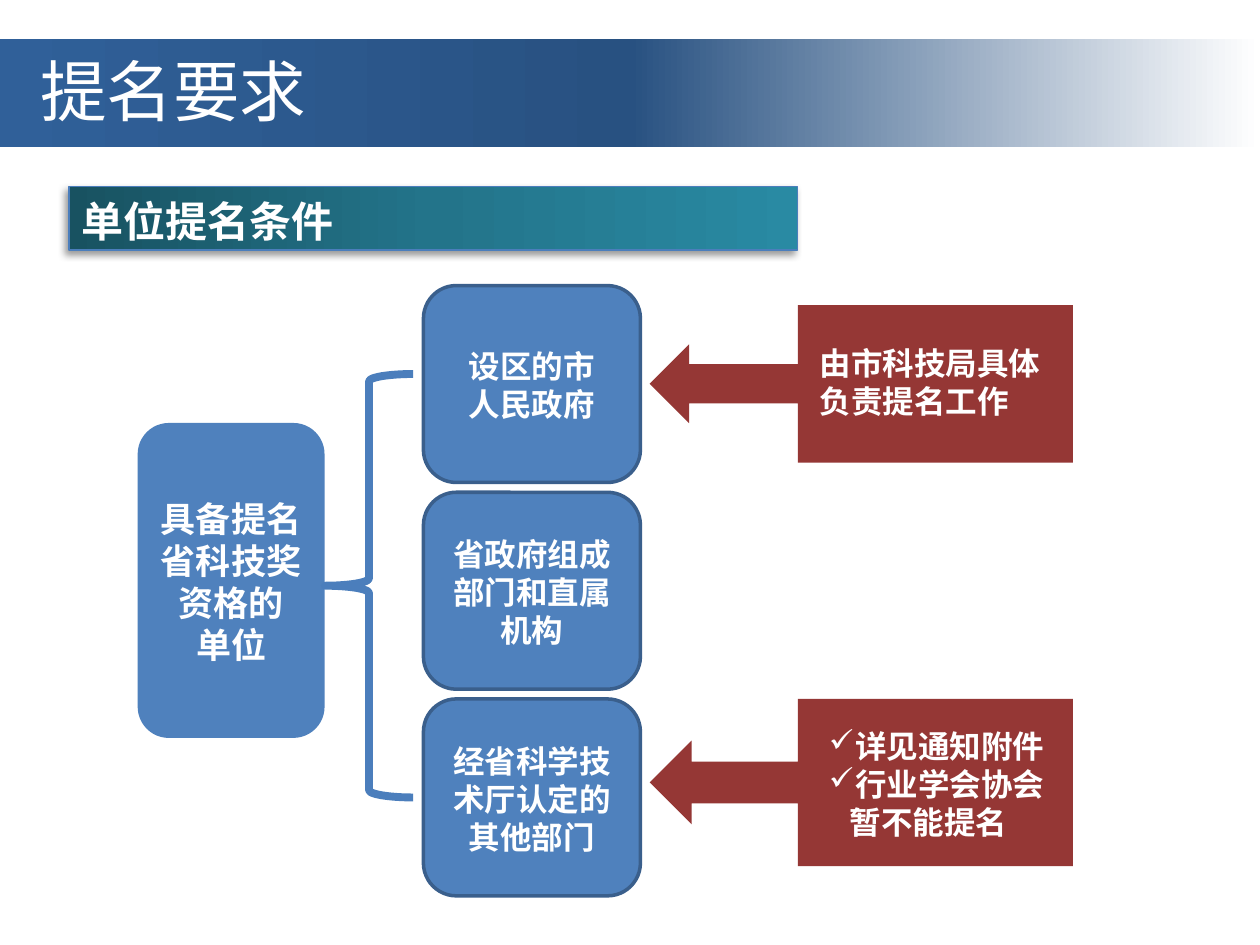
"""Build the slide on which units may nominate for the award."""
from copy import deepcopy

from lxml import etree
from pptx import Presentation
from pptx.dml.color import RGBColor
from pptx.enum import shapes, text
from pptx.oxml import ns
from pptx.util import Pt

FONT = "Noto Sans CJK SC"
COLORS = {
    "white": "FFFFFF",
    "blue": "4F81BD",
    "blue_line": "4B7EBC",
    "blue_edge": "3A5F8C",
    "red": "953735",
    "shadow": "000000",
}
BANNER_STOPS = [(0, "306099"), (0.5, "285181"), (1, "FFFFFF")]
HEADING_STOPS = [(0, "185261"), (0.5, "23748A"), (1, "298AA3")]
UNITS = [
    ["设区的市", "人民政府"],
    ["省政府组成部门和直属机构"],
    ["经省科学技术厅认定的其他部门"],
]
TOP, MIDDLE = text.MSO_ANCHOR.TOP, text.MSO_ANCHOR.MIDDLE
LEFT, CENTER = text.PP_ALIGN.LEFT, text.PP_ALIGN.CENTER


def color(name):
    """Return the named colour."""
    return RGBColor.from_string(COLORS[name])


def apply(target, values):
    """Set each attribute of target from a dict."""
    for name, value in values.items():
        setattr(target, name, value)


def place(part, box):
    """Move a part to a box given in points."""
    apply(part, dict(zip(("left", "top", "width", "height"), map(Pt, box))))


def add_child(parent, tag, **attributes):
    """Append a drawing element to its parent."""
    return etree.SubElement(parent, ns.qn(tag), attributes)


def add_preset(slide, preset, box, fill=None, edge=None, weight=0):
    """Add a preset shape with an optional fill and edge."""
    preset_shape = slide.shapes.add_shape(preset, *map(Pt, box))
    preset_shape.shadow.inherit = False
    if fill:
        preset_shape.fill.solid()
        preset_shape.fill.fore_color.rgb = color(fill)
    else:
        preset_shape.fill.background()
    if edge:
        preset_shape.line.color.rgb = color(edge)
        preset_shape.line.width = Pt(weight)
    else:
        preset_shape.line.fill.background()
    return preset_shape


def fill_gradient(bar, stops):
    """Fill a bar from left to right with three stops."""
    bar.fill.gradient()
    bar.fill.gradient_angle = 0
    stop_list = bar._element.spPr.find(".//" + ns.qn("a:gsLst"))
    stop_list.append(deepcopy(stop_list[0]))
    for stop, (position, rgb) in zip(bar.fill.gradient_stops, stops):
        apply(stop, {"position": position})
        stop.color.rgb = RGBColor.from_string(rgb)


def add_shadow(bar):
    """Cast a soft shadow to the lower left."""
    effects = bar._element.spPr.find(ns.qn("a:effectLst"))
    shadow = add_child(effects, "a:outerShdw", blurRad=str(Pt(4)),
                       dist=str(Pt(3)), dir="8100000", rotWithShape="0")
    shade = add_child(shadow, "a:srgbClr", val=COLORS["shadow"])
    add_child(shade, "a:alpha", val="40000")


def write(part, lines, size, align=LEFT, anchor=TOP, bold=True, inset=7.2, top=5):
    """Write lines, each a string or a (string, margin, bullet) tuple."""
    frame = part.text_frame
    apply(frame, {"word_wrap": True, "auto_size": text.MSO_AUTO_SIZE.NONE,
                  "vertical_anchor": anchor, "margin_left": Pt(inset),
                  "margin_right": Pt(7.2), "margin_top": Pt(top),
                  "margin_bottom": Pt(3.6)})
    for index, line in enumerate(lines):
        words, margin, bullet = line if isinstance(line, tuple) else (line, 0, None)
        paragraph = frame.add_paragraph() if index else frame.paragraphs[0]
        properties = paragraph._p.get_or_add_pPr()
        if margin:
            properties.set("marL", str(Pt(margin)))
        if bullet:
            properties.set("indent", str(-Pt(margin)))
            add_child(properties, "a:buChar", char=bullet)
        apply(paragraph, {"alignment": align, "line_spacing": Pt(1.2 * size)})
        run = paragraph.add_run()
        run.text = words
        apply(run.font, {"size": Pt(size), "bold": bold, "name": FONT})
        run.font.color.rgb = color("white")
        add_child(run._r.get_or_add_rPr(), "a:ea", typeface=FONT)


def add_title(slide):
    """Turn the title placeholder into the banner."""
    banner = slide.shapes.title
    place(banner, (0, 22.3, 720, 62))
    fill_gradient(banner, BANNER_STOPS)
    write(banner, ["提名要求"], 38, bold=False, inset=23, top=6)


def add_heading(slide):
    """Add the section heading bar."""
    heading = add_preset(slide, shapes.MSO_SHAPE.RECTANGLE,
                         (39.4, 106.5, 416.3, 36.3), "blue", "blue_line", 0.75)
    fill_gradient(heading, HEADING_STOPS)
    add_shadow(heading)
    write(heading, ["单位提名条件"], 24)


def add_box(slide, box, lines, size, edge=None):
    """Add a rounded box with centred text."""
    rounded = add_preset(slide, shapes.MSO_SHAPE.ROUNDED_RECTANGLE,
                         box, "blue", edge, 2)
    write(rounded, lines, size, CENTER, MIDDLE)


def add_note(slide, callout_box, note_box, lines):
    """Add a left arrow callout with its note."""
    add_preset(slide, shapes.MSO_SHAPE.LEFT_ARROW_CALLOUT, callout_box, "red")
    note = slide.shapes.add_textbox(*map(Pt, note_box))
    write(note, lines, 18)


def main():
    """Build and save the slide."""
    deck = Presentation()
    apply(deck, {"slide_width": Pt(720), "slide_height": Pt(540)})
    slide = deck.slides.add_slide(deck.slide_layouts[5])
    add_title(slide)
    add_heading(slide)
    add_box(slide, (78.7, 241.7, 106.8, 180), ["具备提名省科技奖资格的", "单位"], 20)
    add_preset(slide, shapes.MSO_SHAPE.LEFT_BRACE, (185.7, 213.7, 50.4, 242),
               edge="blue_line", weight=4.5)
    for row, lines in enumerate(UNITS):
        add_box(slide, (242, 163.2 + 118.1 * row, 124, 112.5), lines, 18, "blue_edge")
    add_note(slide, (371.3, 174.3, 241.8, 90), (461.5, 191.5, 146.2, 51),
             ["由市科技局具体负责提名工作"])
    add_note(slide, (371.3, 399.4, 241.8, 95.5), (466.6, 410.6, 140.4, 72.7),
             [("详见通知附件", 15, "✓"), ("行业学会协会", 15, "✓"),
              ("暂不能提名", 12, None)])
    deck.save("out.pptx")


if __name__ == "__main__":
    main()
